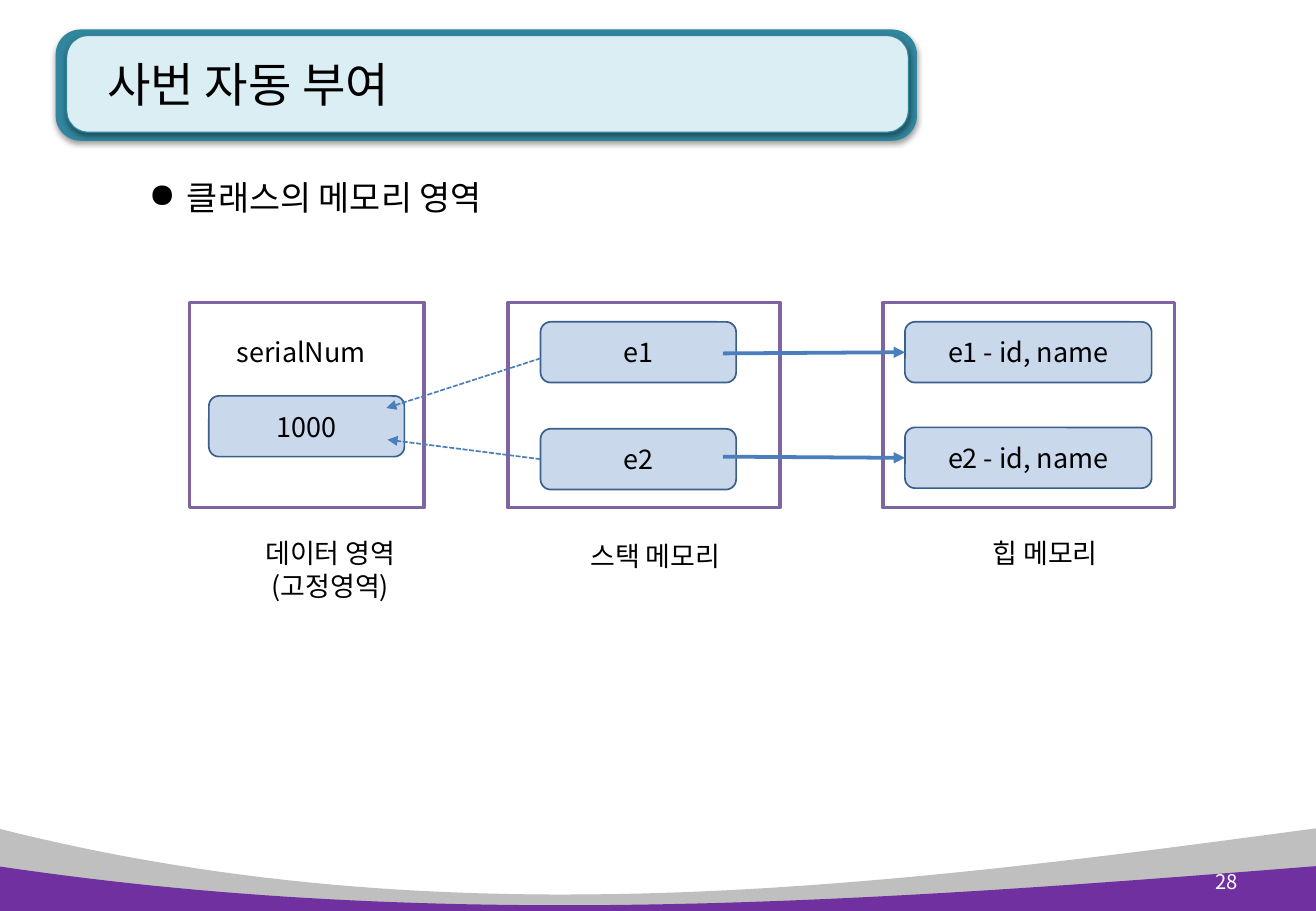
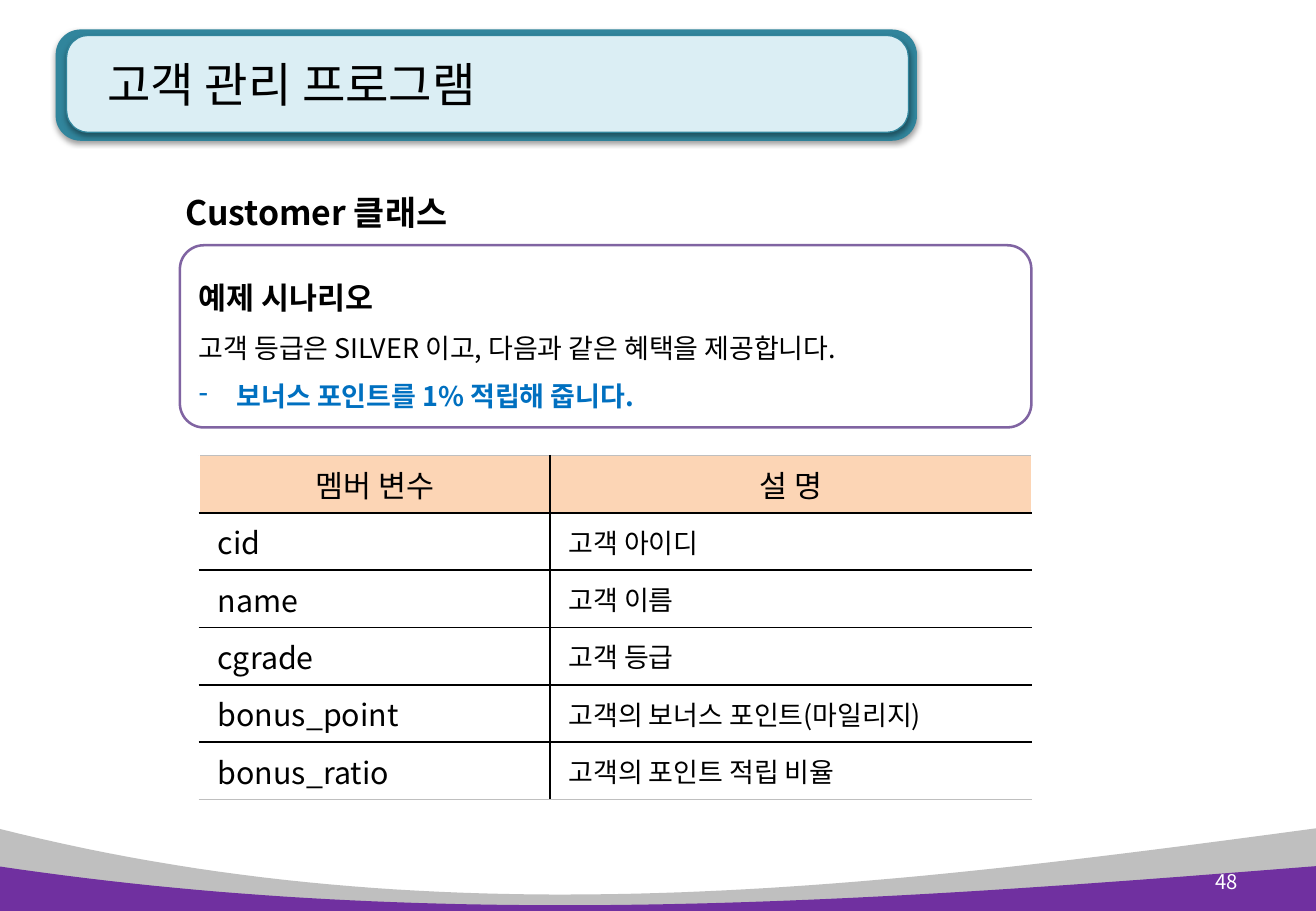
import pptx
import pptx.dml.color
import pptx.enum.dml
import pptx.enum.shapes
import pptx.enum.text
import pptx.oxml
import pptx.oxml.ns
import pptx.util

Pt = pptx.util.Pt
SHAPE = pptx.enum.shapes.MSO_SHAPE
ALIGN = pptx.enum.text.PP_ALIGN
MIDDLE = pptx.enum.text.MSO_ANCHOR.MIDDLE
NAMESPACE = pptx.oxml.ns.nsdecls("a")

# Shared style
FONT = "Noto Sans CJK KR"
BLACK, WHITE, TEAL, PALE_TEAL = "000000", "FFFFFF", "31859C", "DBEEF4"
GREY, PURPLE, VIOLET, BLUE = "BFBFBF", "7030A0", "8064A2", "0070C0"
BOX_FILL, BOX_LINE, ARROW, PEACH = "4F81BD", "3A5F8C", "4B7EBC", "FCD5B5"
SLIDE_SIZE = 780, 540
TITLE_BANDS = [((33, 17.5, 510.5, 66), TEAL, None), ((39.5, 21, 499, 57.5), PALE_TEAL, TEAL)]
# Colour, end height, the two control heights, bottom
WAVES = [(GREY, 491, 558, 526.3, 540), (PURPLE, 513.4, 553, 534.2, 542)]
WAVE_X = -1.5, 262.8, 518.4, 780

# Memory slide
AREA_TOP, AREA_HEIGHT, BOX_HEIGHT = 179.3, 121.7, 36
AREAS = [(112.3, 139), (301, 161.3), (523.4, 172.8)]
MEMORY_BOXES = {
    "1000": (123.8, 234.7, 115.9),
    "e1": (320.4, 190.8, 115.9),
    "e2": (320.4, 254.2, 115.9),
    "e1 - id, name": (536.4, 190.8, 146.2),
    "e2 - id, name": (536.4, 253.4, 146.2),
}
LABELS = [
    (["serialNum"], (124.6, 195.1, 108, 26.6)),
    (["데이터 영역", "(고정영역)"], (126, 314.6, 139.7, 46)),
    (["스택 메모리"], (331.2, 316.1, 114.5, 26.6)),
    (["힙 메모리"], (570.2, 314.6, 98.6, 26.6)),
]
# An end is a point, or a box and its connection site
REFERENCES = [
    ((428.4, 209.5), ("e1 - id, name", 1), 2.25, False),
    ((428.4, 270.7), ("e2 - id, name", 1), 2.25, False),
    ((320.4, 212.4), (229, 241.9), 1, True),
    (("e2", 1), (229.7, 260.6), 1, True),
]

# Customer slide
SCENARIO = [
    ("예제 시나리오", dict(size=18, bold=True)),
    ("고객 등급은 SILVER 이고, 다음과 같은 혜택을 제공합니다.", {}),
    ("보너스 포인트를 1% 적립해 줍니다.", dict(bold=True, color=BLUE, bullet="-")),
]
MEMBERS = [
    ("멤버 변수", "설 명"),
    ("cid", "고객 아이디"),
    ("name", "고객 이름"),
    ("cgrade", "고객 등급"),
    ("bonus_point", "고객의 보너스 포인트(마일리지)"),
    ("bonus_ratio", "고객의 포인트 적립 비율"),
]
COLUMN_WIDTHS, ROW_HEIGHT = (208, 285.2), 34


def rgb(value):
    return pptx.dml.color.RGBColor.from_string(value)


def points(lengths):
    return [Pt(length) for length in lengths]


def add_xml(parent, xml):
    tag, rest = xml.split(" ", 1)
    parent.append(pptx.oxml.parse_xml(f"{tag} {NAMESPACE} {rest}"))


def write(frame, text, size=16, font=FONT, color=BLACK, bold=False,
          align=ALIGN.LEFT, spacing=None, bullet=None):
    """Add one paragraph, using the first one while it is still empty."""
    paragraph = frame.paragraphs[0]
    if paragraph.runs:
        paragraph = frame.add_paragraph()
    paragraph.alignment = align
    if spacing:
        paragraph.line_spacing = spacing
    if bullet:
        properties = paragraph._p.get_or_add_pPr()
        properties.set("marL", str(Pt(22.5)))
        properties.set("indent", str(-Pt(22.5)))
        add_xml(properties, f'<a:buChar char="{bullet}"/>')
    run = paragraph.add_run()
    run.text = text
    run.font.size, run.font.bold, run.font.name = Pt(size), bold, font
    run.font.color.rgb = rgb(color)
    add_xml(run._r.get_or_add_rPr(), f'<a:ea typeface="{FONT}"/>')


def paint(shape, fill, line=None, width=1, alpha=None):
    shape.shadow.inherit = False
    shape.fill.solid()
    shape.fill.fore_color.rgb = rgb(fill)
    if alpha:
        color = shape._element.spPr.find(".//" + pptx.oxml.ns.qn("a:srgbClr"))
        add_xml(color, f'<a:alpha val="{alpha * 1000}"/>')
    if line:
        shape.line.color.rgb = rgb(line)
        shape.line.width = Pt(width)
    else:
        shape.line.fill.background()


def add_box(slide, kind, place, fill=WHITE, radius=None, **look):
    box = slide.shapes.add_shape(kind, *points(place))
    if radius:
        box.adjustments[0] = radius
    paint(box, fill, **look)
    box.text_frame.word_wrap = True
    box.text_frame.vertical_anchor = MIDDLE
    return box


def add_label(slide, lines, place, **look):
    frame = slide.shapes.add_textbox(*points(place)).text_frame
    frame.word_wrap = True
    for line in lines:
        write(frame, line, **look)
    return frame


def add_wave(slide, color, end, control_1, control_2, bottom, steps=60):
    def bezier(a, b, c, d, t):
        u = 1 - t
        return u**3 * a + 3 * u * u * t * b + 3 * u * t * t * c + t**3 * d

    curve = [(bezier(*WAVE_X, i / steps), bezier(end, control_1, control_2, end, i / steps))
             for i in range(steps + 1)]
    outline = curve + [(WAVE_X[-1], bottom), (WAVE_X[0], bottom)]
    start, *rest = [points(point) for point in outline]
    builder = slide.shapes.build_freeform(*start)
    builder.add_line_segments(rest, close=True)
    wave = builder.convert_to_shape()
    paint(wave, color)
    return wave


def decorate_layout(slide, layout):
    """Draw the title band and waves, then move them to the layout."""
    parts = [add_wave(slide, *WAVES[0])]
    for place, fill, line in TITLE_BANDS:
        band = add_box(slide, SHAPE.ROUNDED_RECTANGLE, place, fill, 0.225, line=line, width=0.75)
        effects = band._element.spPr.find(pptx.oxml.ns.qn("a:effectLst"))
        add_xml(effects, f'<a:outerShdw blurRad="{Pt(3.1)}" dist="{Pt(1.6)}" dir="5400000" '
                         'rotWithShape="0"><a:srgbClr val="000000">'
                         '<a:alpha val="38000"/></a:srgbClr></a:outerShdw>')
        parts.append(band)
    parts.append(add_wave(slide, *WAVES[1]))
    for number, part in enumerate(parts):
        part._element.nvSpPr.cNvPr.set("id", str(20 + number))
        layout.shapes._spTree.append(part._element)


def start_slide(deck, title, page):
    slide = deck.slides.add_slide(deck.slide_layouts[5])
    heading = slide.shapes.title
    heading.left, heading.top, heading.width, heading.height = points((49.7, 15.8, 488.2, 67.7))
    frame = heading.text_frame
    frame.word_wrap, frame.vertical_anchor, frame.margin_left = True, MIDDLE, Pt(14)
    write(frame, title, size=28)
    number = add_label(slide, [page], (697, 508.3, 43.9, 28.8),
                       size=12, color=WHITE, align=ALIGN.RIGHT)
    number.vertical_anchor = MIDDLE
    return slide


def add_reference(slide, boxes, start, end, width, dashed):
    arrow = slide.shapes.add_connector(pptx.enum.shapes.MSO_CONNECTOR.STRAIGHT, 0, 0, 0, 0)
    if start[0] in boxes:
        arrow.begin_connect(boxes[start[0]], start[1])
    else:
        arrow.begin_x, arrow.begin_y = points(start)
    if end[0] in boxes:
        arrow.end_connect(boxes[end[0]], end[1])
    else:
        arrow.end_x, arrow.end_y = points(end)
    arrow.line.color.rgb = rgb(ARROW)
    arrow.line.width = Pt(width)
    if dashed:
        arrow.line.dash_style = pptx.enum.dml.MSO_LINE.SQUARE_DOT
    add_xml(arrow.line._get_or_add_ln(), '<a:tailEnd type="triangle"/>')
    add_xml(arrow._element.spPr, "<a:effectLst />")


def fill_memory_slide(slide):
    topic = add_box(slide, SHAPE.ROUNDED_RECTANGLE, (78.5, 88.6, 476, 56.9))
    write(topic.text_frame, "클래스의 메모리 영역", size=20, font="Arial", bullet="●")
    for left, width in AREAS:
        add_box(slide, SHAPE.RECTANGLE, (left, AREA_TOP, width, AREA_HEIGHT), line=VIOLET, width=2)
    boxes = {}
    for text, place in MEMORY_BOXES.items():
        boxes[text] = add_box(slide, SHAPE.ROUNDED_RECTANGLE, (*place, BOX_HEIGHT),
                              BOX_FILL, line=BOX_LINE, alpha=30)
        write(boxes[text].text_frame, text, align=ALIGN.CENTER)
    for lines, place in LABELS:
        add_label(slide, lines, place, align=ALIGN.CENTER)
    for reference in REFERENCES:
        add_reference(slide, boxes, *reference)


def add_border(cell, side, color):
    add_xml(cell._tc.get_or_add_tcPr(),
            f'<a:ln{side} w="{Pt(1)}"><a:solidFill><a:srgbClr val="{color}"/>'
            f'</a:solidFill></a:ln{side}>')


def add_member_table(slide):
    last_row = len(MEMBERS) - 1
    place = (118.1, 270, sum(COLUMN_WIDTHS), ROW_HEIGHT * len(MEMBERS))
    table = slide.shapes.add_table(len(MEMBERS), 2, *points(place)).table
    table.first_row = table.horz_banding = False
    for column, width in zip(table.columns, COLUMN_WIDTHS):
        column.width = Pt(width)
    for r, member in enumerate(MEMBERS):
        table.rows[r].height = Pt(ROW_HEIGHT)
        for c, text in enumerate(member):
            cell = table.cell(r, c)
            cell.vertical_anchor = MIDDLE
            add_border(cell, "R" if c == 0 else "L", BLACK)
            add_border(cell, "T", BLACK if r else GREY)
            add_border(cell, "B", BLACK if r < last_row else GREY)
            if r == 0:
                cell.fill.solid()
                cell.fill.fore_color.rgb = rgb(PEACH)
                write(cell.text_frame, text, size=18, align=ALIGN.CENTER)
            else:
                cell.fill.background()
                cell.margin_left = Pt(11)
                write(cell.text_frame, text, size=16 if c else 18)


def fill_customer_slide(slide):
    heading = add_box(slide, SHAPE.ROUNDED_RECTANGLE, (100.8, 100, 300, 39.6))
    write(heading.text_frame, "Customer 클래스", size=20, bold=True, spacing=1.5)
    scenario = add_box(slide, SHAPE.ROUNDED_RECTANGLE, (106.6, 145.4, 504.7, 108),
                       radius=0.131, line=VIOLET, width=1.5)
    for text, look in SCENARIO:
        write(scenario.text_frame, text, spacing=1.5, **look)
    add_member_table(slide)


def main():
    deck = pptx.Presentation()
    deck.slide_width, deck.slide_height = points(SLIDE_SIZE)
    memory = start_slide(deck, "사번 자동 부여", "28")
    decorate_layout(memory, memory.slide_layout)
    fill_memory_slide(memory)
    fill_customer_slide(start_slide(deck, "고객 관리 프로그램", "48"))
    deck.save("out.pptx")


if __name__ == "__main__":
    main()
